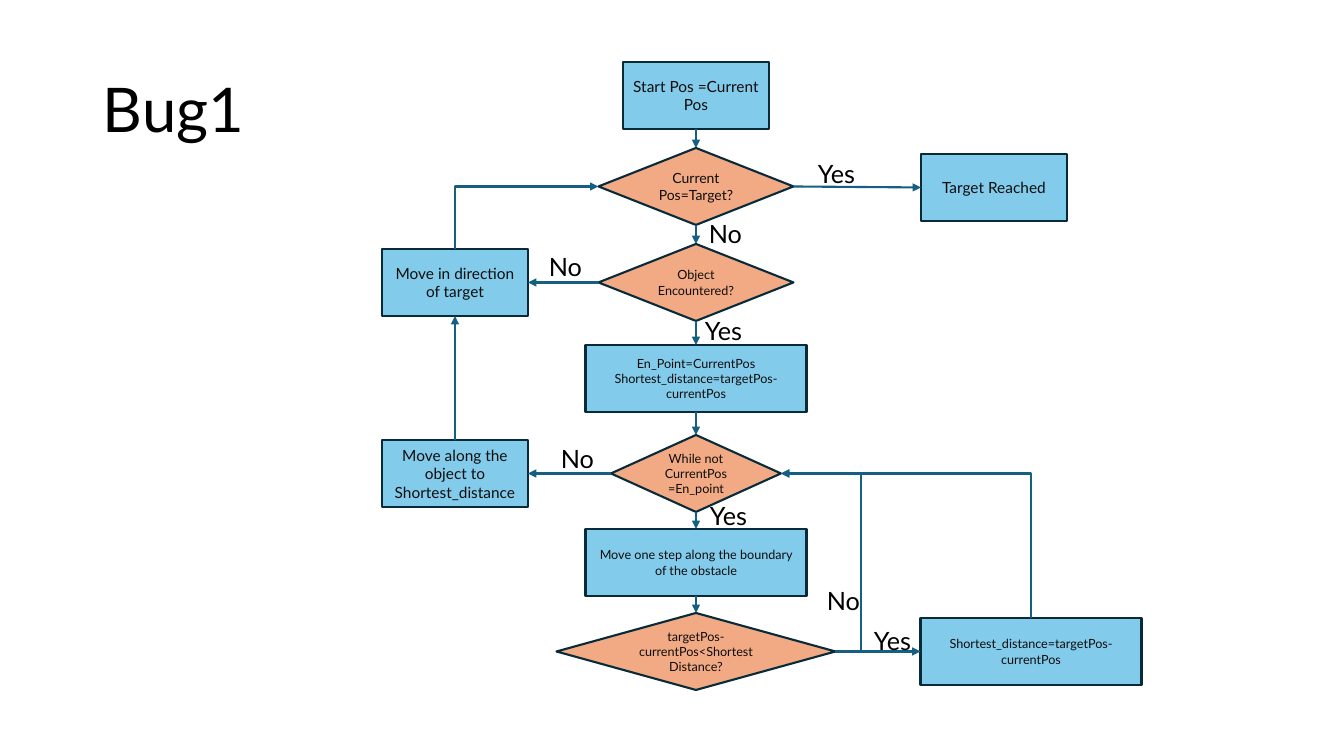
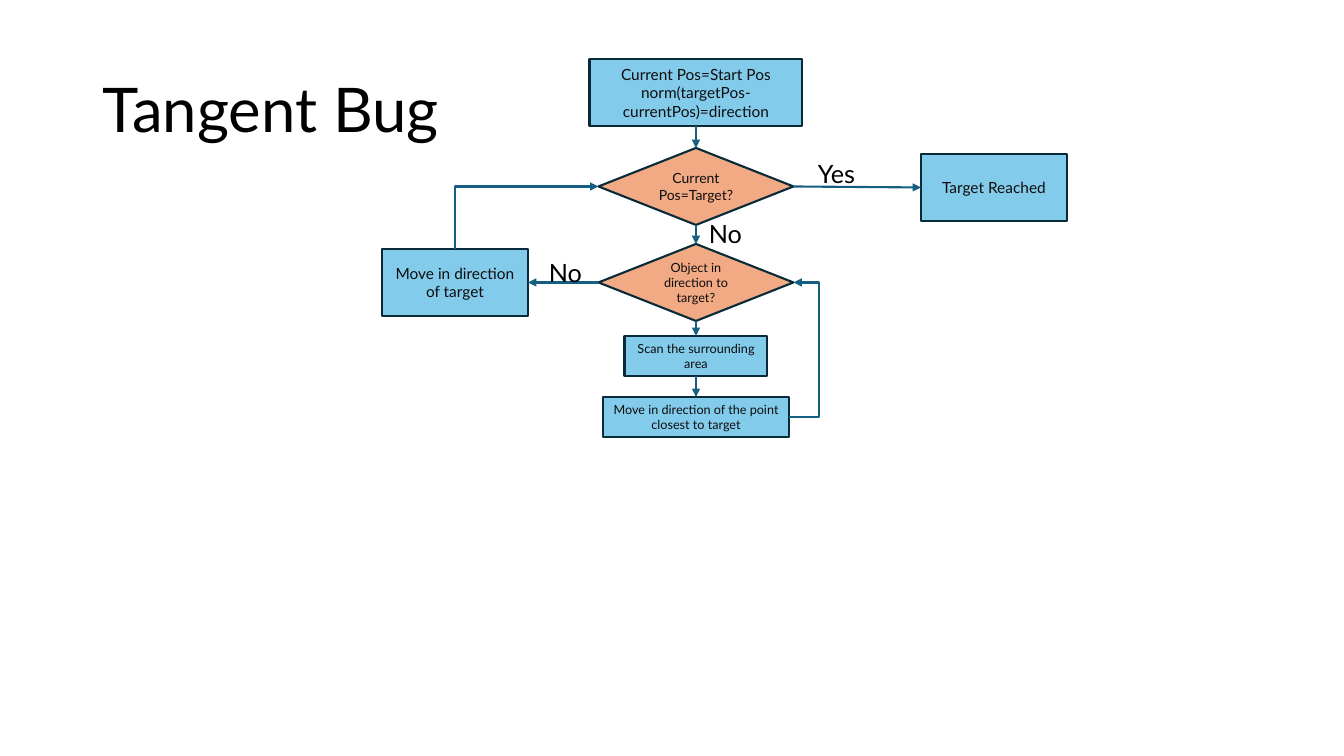
from lxml.etree import SubElement
from pptx import Presentation
from pptx.dml.color import RGBColor
from pptx.enum.shapes import MSO_CONNECTOR, MSO_SHAPE
from pptx.enum.text import MSO_ANCHOR, PP_ALIGN
from pptx.oxml.ns import qn
from pptx.util import Pt

EMU_PER_PX = 12192000 / 1344
FONT = "Lato"
COLORS = {
    "process": "83CBEB",
    "decision": "F2AA84",
    "outline": "092A39",
    "arrow": "156082",
    "node_text": "0D0D0D",
    "text": "000000",
}
SHAPES = {"process": MSO_SHAPE.RECTANGLE, "decision": MSO_SHAPE.DIAMOND}
HEIGHTS = {"process": 67, "decision": 77}
TITLE_BOX = (93, 40, 1159, 146)
LABEL_SIZE = (86, 40)
LEFT, MIDDLE, RIGHT, FAR_RIGHT = 455, 696, 994, 1031
TOP_SIDE, LEFT_SIDE, BOTTOM_SIDE, RIGHT_SIDE = range(4)

# fields: name, kind, centre, top, width, font size, text, optional height
SHARED_NODES = [
    ("at_target", "decision", MIDDLE, 148, 195, 10, "Current Pos=Target?"),
    ("reached", "process", RIGHT, 154, 146, 11, "Target Reached"),
    ("move", "process", LEFT, 249, 146, 11, "Move in direction of target"),
]
SHARED_ARROWS = [
    ("start", BOTTOM_SIDE, "at_target", TOP_SIDE),
    ("at_target", RIGHT_SIDE, "reached", LEFT_SIDE),
    ("at_target", BOTTOM_SIDE, "object", TOP_SIDE),
    ("object", LEFT_SIDE, "move", RIGHT_SIDE),
]
SHARED_CORNERS = [("at_target", LEFT_SIDE, "move", TOP_SIDE)]
SHARED_LABELS = [("Yes", 808, 153), ("No", 699, 213)]

SLIDES = [
    {
        "title": "Bug1",
        "nodes": [
            ("start", "process", MIDDLE, 62, 146, 11, "Start Pos =Current Pos"),
            ("object", "decision", MIDDLE, 244, 195, 9, "Object Encountered?"),
            ("entry", "process", MIDDLE, 345, 221, 9,
             "En_Point=CurrentPos\nShortest_distance=targetPos-currentPos"),
            ("loop", "decision", MIDDLE, 435, 170, 9, "While not CurrentPos=En_point"),
            ("step", "process", MIDDLE, 529, 221, 9,
             "Move one step along the boundary of the obstacle"),
            ("closer", "decision", MIDDLE, 613, 279, 9,
             "targetPos-currentPos<ShortestDistance?"),
            ("update", "process", FAR_RIGHT, 618, 221, 9,
             "Shortest_distance=targetPos-currentPos"),
            ("along", "process", LEFT, 440, 146, 11,
             "Move along the object to Shortest_distance"),
        ],
        "arrows": [
            ("object", BOTTOM_SIDE, "entry", TOP_SIDE),
            ("entry", BOTTOM_SIDE, "loop", TOP_SIDE),
            ("loop", BOTTOM_SIDE, "step", TOP_SIDE),
            ("step", BOTTOM_SIDE, "closer", TOP_SIDE),
            ("closer", RIGHT_SIDE, "update", LEFT_SIDE),
            ("loop", LEFT_SIDE, "along", RIGHT_SIDE),
            ("along", TOP_SIDE, "move", BOTTOM_SIDE),
        ],
        "corners": [("loop", RIGHT_SIDE, "update", TOP_SIDE)],
        "detours": [("closer", RIGHT_SIDE, "loop", RIGHT_SIDE, 861)],
        "labels": [
            ("No", 539, 246), ("Yes", 695, 310), ("Yes", 700, 495),
            ("No", 551, 438), ("Yes", 864, 620), ("No", 817, 580),
        ],
    },
    {
        "title": "Tangent Bug",
        "nodes": [
            ("start", "process", MIDDLE, 59, 213, 11,
             "Current Pos=Start Pos\nnorm(targetPos-currentPos)=direction"),
            ("object", "decision", MIDDLE, 244, 195, 9, "Object in direction to target?"),
            ("scan", "process", MIDDLE, 336, 143, 9, "Scan the surrounding area", 40),
            ("closest", "process", MIDDLE, 397, 186, 9,
             "Move in direction of the point closest to target", 40),
        ],
        "arrows": [
            ("object", BOTTOM_SIDE, "scan", TOP_SIDE),
            ("scan", BOTTOM_SIDE, "closest", TOP_SIDE),
        ],
        "corners": [],
        "detours": [("closest", RIGHT_SIDE, "object", RIGHT_SIDE, 819)],
        "labels": [("No", 539, 252)],
    },
]


def px(length):
    return round(length * EMU_PER_PX)


def color(name):
    return RGBColor.from_string(COLORS[name])


def write_text(shape, text, size, color_name="text", align=PP_ALIGN.LEFT,
               anchor=MSO_ANCHOR.TOP, line_spacing=None):
    frame = shape.text_frame
    frame.word_wrap = True
    frame.vertical_anchor = anchor
    frame.text = text
    for paragraph in frame.paragraphs:
        paragraph.alignment = align
        paragraph.line_spacing = line_spacing
        for run in paragraph.runs:
            run.font.name = FONT
            run.font.size = Pt(size)
            run.font.color.rgb = color(color_name)


def add_text(slide, box, text, size, **text_format):
    shape = slide.shapes.add_textbox(*map(px, box))
    write_text(shape, text, size, **text_format)


def add_node(slide, kind, center, top, width, size, text, height=None):
    box = (center - width / 2, top, width, height or HEIGHTS[kind])
    shape = slide.shapes.add_shape(SHAPES[kind], *map(px, box))
    shape.shadow.inherit = False
    shape.fill.solid()
    shape.fill.fore_color.rgb = color(kind)
    shape.line.color.rgb = color("outline")
    shape.line.width = Pt(1.5)
    write_text(shape, text, size, color_name="node_text",
               align=PP_ALIGN.CENTER, anchor=MSO_ANCHOR.MIDDLE)
    return shape


def add_arrow(slide, nodes, link, kind=MSO_CONNECTOR.STRAIGHT, arrow_end="a:tailEnd"):
    begin, begin_side, end, end_side = link
    connector = slide.shapes.add_connector(kind, 0, 0, 0, 0)
    connector.begin_connect(nodes[begin], begin_side)
    connector.end_connect(nodes[end], end_side)
    connector.line.color.rgb = color("arrow")
    connector.line.width = Pt(1.5)
    properties = connector.element.spPr
    SubElement(properties.find(qn("a:ln")), qn(arrow_end), type="triangle")
    SubElement(properties, qn("a:effectLst"))
    return connector


def add_corner(slide, nodes, link):
    connector = add_arrow(slide, nodes, link, MSO_CONNECTOR.ELBOW, "a:headEnd")
    geometry = connector.element.spPr.find(qn("a:prstGeom"))
    geometry.set("prst", "bentConnector2")


def add_detour(slide, nodes, link, turn):
    connector = add_arrow(slide, nodes, link, MSO_CONNECTOR.ELBOW)
    span = connector.end_x - connector.begin_x
    ratio = round((px(turn) - connector.begin_x) / span * 100000)
    adjustments = connector.element.spPr.find(qn("a:prstGeom")).find(qn("a:avLst"))
    SubElement(adjustments, qn("a:gd"), name="adj1", fmla=f"val {ratio}")


def build_slide(presentation, content):
    slide = presentation.slides.add_slide(presentation.slide_layouts[6])
    add_text(slide, TITLE_BOX, content["title"], 44,
             anchor=MSO_ANCHOR.MIDDLE, line_spacing=0.9)
    nodes = {name: add_node(slide, *details)
             for name, *details in SHARED_NODES + content["nodes"]}
    for link in SHARED_ARROWS + content["arrows"]:
        add_arrow(slide, nodes, link)
    for link in SHARED_CORNERS + content["corners"]:
        add_corner(slide, nodes, link)
    for *link, turn in content["detours"]:
        add_detour(slide, nodes, link, turn)
    for text, left, top in SHARED_LABELS + content["labels"]:
        add_text(slide, (left, top, *LABEL_SIZE), text, 18)


def main():
    presentation = Presentation()
    presentation.slide_width = px(1344)
    presentation.slide_height = px(756)
    for content in SLIDES:
        build_slide(presentation, content)
    presentation.save("out.pptx")


if __name__ == "__main__":
    main()
